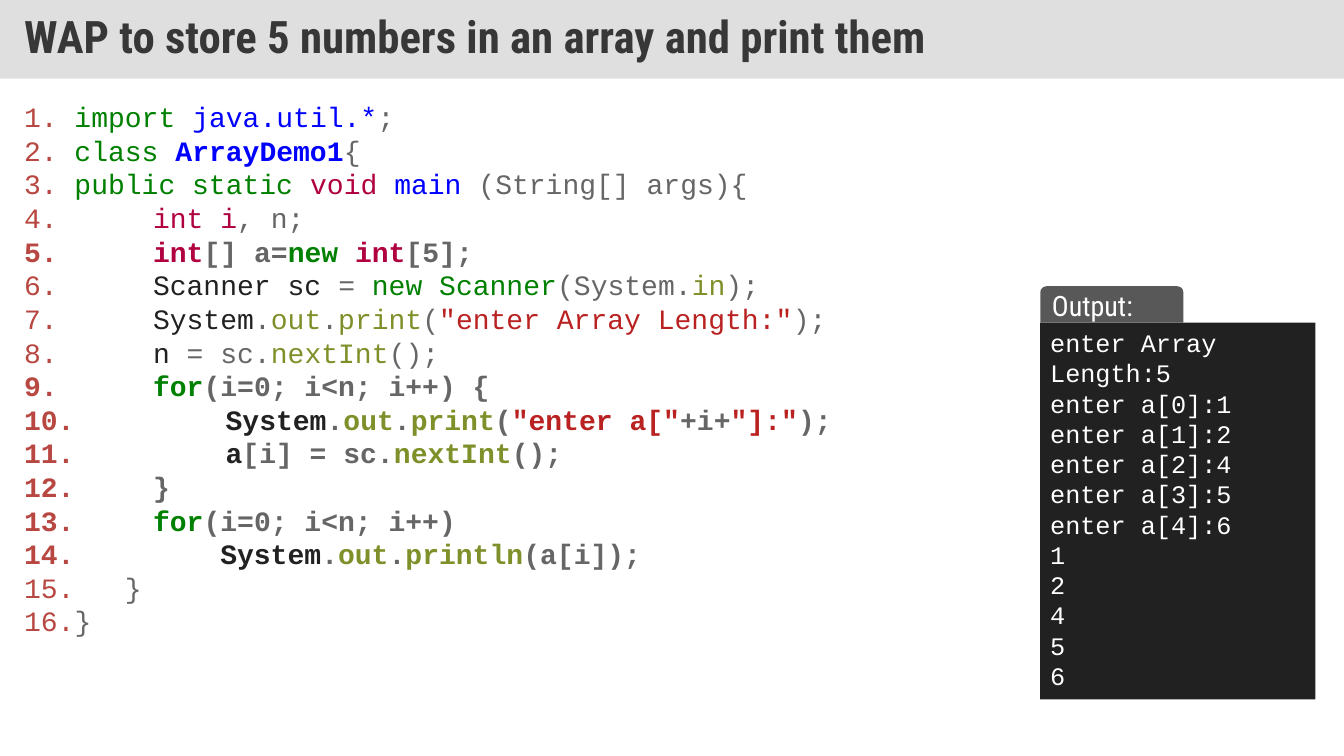
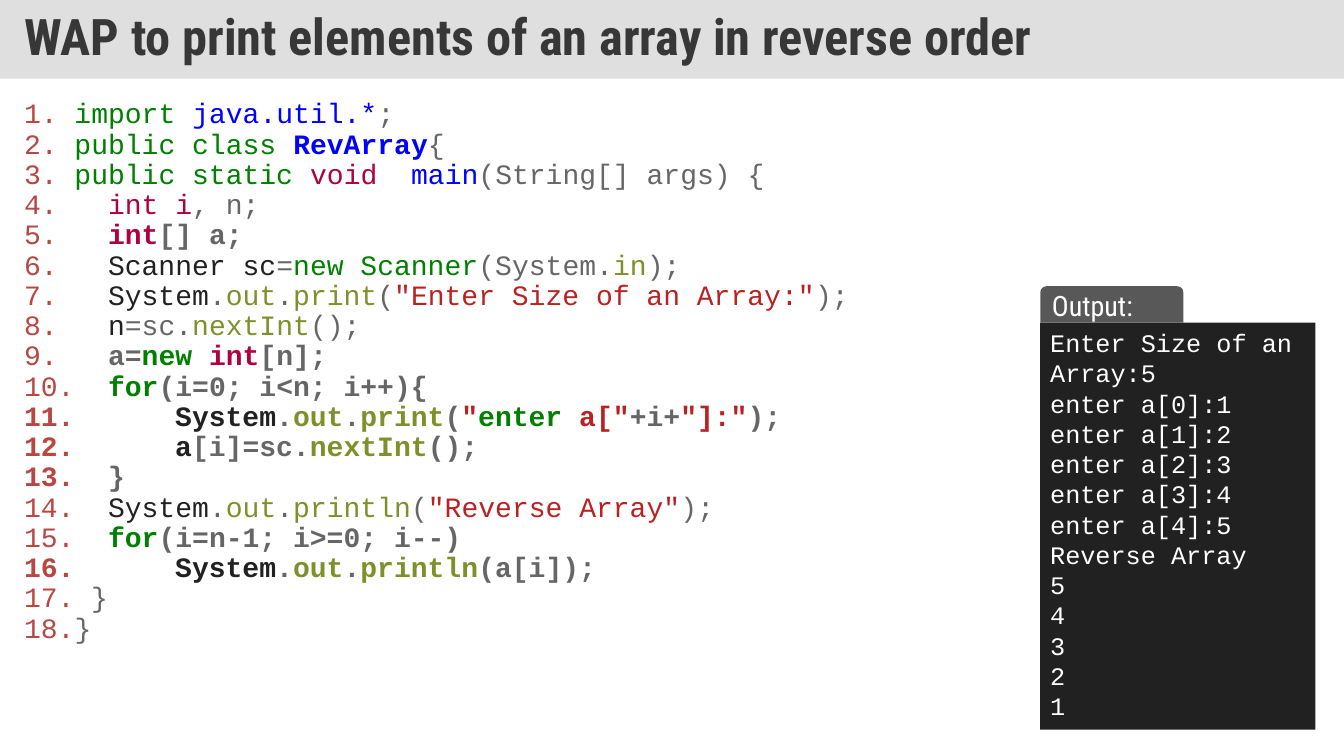
from lxml import etree
from pptx import Presentation
from pptx.dml.color import RGBColor
from pptx.enum.shapes import MSO_SHAPE
from pptx.enum.text import MSO_ANCHOR, PP_ALIGN
from pptx.oxml.ns import qn
from pptx.util import Inches, Pt

RECTANGLE = MSO_SHAPE.RECTANGLE
TAB_SHAPE = MSO_SHAPE.ROUND_2_SAME_RECTANGLE
TOP, MIDDLE = MSO_ANCHOR.TOP, MSO_ANCHOR.MIDDLE
LEFT, JUSTIFY = PP_ALIGN.LEFT, PP_ALIGN.JUSTIFY

BAND_GRAY = RGBColor(0xC0, 0xC0, 0xC0)
TITLE_GRAY = RGBColor(0x37, 0x37, 0x37)
TAB_GRAY = RGBColor(0x58, 0x58, 0x58)
NEAR_BLACK = RGBColor(0x21, 0x21, 0x21)
WHITE = RGBColor(0xFF, 0xFF, 0xFF)
NUMBER_RED = RGBColor(0xB8, 0x47, 0x42)
KEYWORD_GREEN = RGBColor(0x00, 0x80, 0x00)
NAME_BLUE = RGBColor(0x00, 0x00, 0xFF)
PLAIN_GRAY = RGBColor(0x66, 0x66, 0x66)
TYPE_CRIMSON = RGBColor(0xB0, 0x00, 0x40)
MEMBER_OLIVE = RGBColor(0x7D, 0x90, 0x29)
STRING_RED = RGBColor(0xBA, 0x21, 0x21)

TOKEN_COLORS = {
    "k": KEYWORD_GREEN,
    "n": NAME_BLUE,
    "p": PLAIN_GRAY,
    "t": TYPE_CRIMSON,
    "v": NEAR_BLACK,
    "m": MEMBER_OLIVE,
    "s": STRING_RED,
}

HEADING_FONT = "Roboto Condensed"
CODE_FONT = "Courier New"

COLUMNS, ROWS = 80, 45
CELL = Inches(1) // 6

PRINT = "v:System|p:.|m:out|p:.|m:print"
BOLD_PRINT = "V:System|P:.|M:out|P:.|M:print"

STORE_CODE = [
    (3, "k:import |n:java.util.*|p:;"),
    (3, "k:class |N:ArrayDemo1|p:{"),
    (3, "k:public static |t:void |n:main |p:(String[] args){"),
    (7.68, "t:int i|p:, n;"),
    (7.68, "T:int|P:[] a=|K:new |T:int|P:[5];"),
    (7.68, "v:Scanner sc |p:= |k:new Scanner|p:(System.|m:in|p:);"),
    (7.68, PRINT + '|p:(|s:"enter Array Length:"|p:);'),
    (7.68, "v:n |p:= sc.|m:nextInt|p:();"),
    (7.68, "K:for|P:(i=0; i<n; i++) {"),
    (12, BOLD_PRINT + '|P:(|S:"enter a["|P:+i+|S:"]:"|P:);'),
    (12, "V:a|P:[i] = sc.|M:nextInt|P:();"),
    (7.68, "P:}"),
    (7.68, "K:for|P:(i=0; i<n; i++)"),
    (11.68, BOLD_PRINT + "ln|P:(a[i]);"),
    (6, "p:}"),
    (3, "p:}"),
]

REVERSE_CODE = [
    (3, "k:import |n:java.util.*|p:;"),
    (3, "k:public class |N:RevArray|p:{"),
    (3, "k:public static |t:void  |n:main|p:(String[] args) {"),
    (5, "t:int i|p:, n;"),
    (4, "v: |T:int|P:[] a;"),
    (5, "v:Scanner sc|p:=|k:new Scanner|p:(System.|m:in|p:);"),
    (5, PRINT + '|p:(|s:"Enter Size of an Array:"|p:);'),
    (5, "v:n|p:=sc.|m:nextInt|p:();"),
    (4, "p: |P:a=|K:new |T:int|P:[n];"),
    (4, "v: |K:for|P:(i=0; i<n; i++){"),
    (9, BOLD_PRINT + '|P:(|S:"|K:enter|S: a["|P:+i+|S:"]:"|P:);'),
    (9, "V:a|P:[i]=sc.|M:nextInt|P:();"),
    (5, "P:}"),
    (5, PRINT + 'ln|p:(|s:"Reverse Array"|p:);'),
    (4, "v: |K:for|P:(i=n-1; i>=0; i--)"),
    (9, BOLD_PRINT + "ln|P:(a[i]);"),
    (4, "p:}"),
    (3, "p:}"),
]

STORE_OUTPUT = [
    "enter Array Length:5",
    *[f"enter a[{i}]:{value}" for i, value in enumerate("12456")],
    *"12456",
]

REVERSE_OUTPUT = [
    "Enter Size of an Array:5",
    *[f"enter a[{i}]:{value}" for i, value in enumerate("12345")],
    "Reverse Array",
    *"54321",
]


def cells(count):
    return round(count * CELL)


def write(paragraph, text, *, size, font, color, bold=False):
    run = paragraph.add_run()
    run.text = text
    run.font.size = Pt(size)
    run.font.name = font
    run.font.bold = bold
    run.font.color.rgb = color


class Deck:
    def __init__(self):
        self.presentation = Presentation()
        self.presentation.slide_width = cells(COLUMNS)
        self.presentation.slide_height = cells(ROWS)
        self.slide = None

    def new_slide(self):
        blank = self.presentation.slide_layouts[6]
        self.slide = self.presentation.slides.add_slide(blank)

    def frame(self, shape, anchor, inset_x=0.6, inset_y=0.3):
        frame = shape.text_frame
        frame.word_wrap = True
        frame.vertical_anchor = anchor
        frame.margin_left = frame.margin_right = cells(inset_x)
        frame.margin_top = frame.margin_bottom = cells(inset_y)
        return frame

    def panel(self, outline, left, top, width, height, color):
        panel = self.slide.shapes.add_shape(outline, *map(cells, (left, top, width, height)))
        panel.shadow.inherit = False
        panel.fill.solid()
        panel.fill.fore_color.rgb = color
        panel.line.fill.background()
        return panel

    def lines(self, frame, texts, spacing=1.0, **style):
        for index, text in enumerate(texts):
            paragraph = frame.paragraphs[0] if index == 0 else frame.add_paragraph()
            paragraph.alignment = LEFT
            paragraph.line_spacing = spacing
            write(paragraph, text, **style)

    def title(self, text, size):
        band = self.panel(RECTANGLE, 0, 0, COLUMNS, 4.68, BAND_GRAY)
        tint = band.fill._xPr.find(qn("a:solidFill"))[0]
        etree.SubElement(tint, qn("a:alpha"), val="50000")
        frame = self.frame(band, MIDDLE, 1.44, 0.72)
        self.lines(frame, [text], 0.9, size=size, font=HEADING_FONT, color=TITLE_GRAY, bold=True)

    def number(self, paragraph, indent):
        properties = paragraph._p.get_or_add_pPr()
        properties.set("marL", str(cells(indent)))
        properties.set("indent", str(-cells(indent)))
        tint = etree.SubElement(properties, qn("a:buClr"))
        etree.SubElement(tint, qn("a:srgbClr"), val=str(NUMBER_RED))
        etree.SubElement(properties, qn("a:buFont"), typeface=CODE_FONT)
        etree.SubElement(properties, qn("a:buAutoNum"), type="arabicPeriod")

    def code(self, listing, spacing):
        area = self.slide.shapes.add_textbox(*map(cells, (0.84, 5.64, 78.3, 36.66)))
        frame = self.frame(area, TOP)
        for index, (indent, line) in enumerate(listing):
            paragraph = frame.paragraphs[0] if index == 0 else frame.add_paragraph()
            paragraph.alignment = JUSTIFY
            paragraph.line_spacing = spacing
            self.number(paragraph, indent)
            for token in line.split("|"):
                kind, _, text = token.partition(":")
                write(paragraph, text, size=20, font=CODE_FONT,
                      color=TOKEN_COLORS[kind.lower()], bold=kind.isupper())

    def output(self, printed):
        left, top, tab_height = 61.92, 19.2, 2.16
        height = 0.84 + 1.8 * (len(printed) + 1)
        console = self.panel(RECTANGLE, left, top, 16.38, height, NEAR_BLACK)
        self.lines(self.frame(console, TOP), printed, size=18, font=CODE_FONT, color=WHITE)
        tab = self.panel(TAB_SHAPE, left, top - tab_height, 8.52, tab_height, TAB_GRAY)
        self.lines(self.frame(tab, MIDDLE, inset_y=0), ["Output:"],
                   size=20, font=HEADING_FONT, color=WHITE)

    def program(self, title, title_size, listing, spacing, printed):
        self.new_slide()
        self.title(title, title_size)
        self.code(listing, spacing)
        self.output(printed)


def main():
    deck = Deck()
    deck.program("WAP to store 5 numbers in an array and print them", 32,
                 STORE_CODE, 1.0, STORE_OUTPUT)
    deck.program("WAP to print elements of an array in reverse order", 36,
                 REVERSE_CODE, 0.9, REVERSE_OUTPUT)
    deck.presentation.save("out.pptx")


if __name__ == "__main__":
    main()
